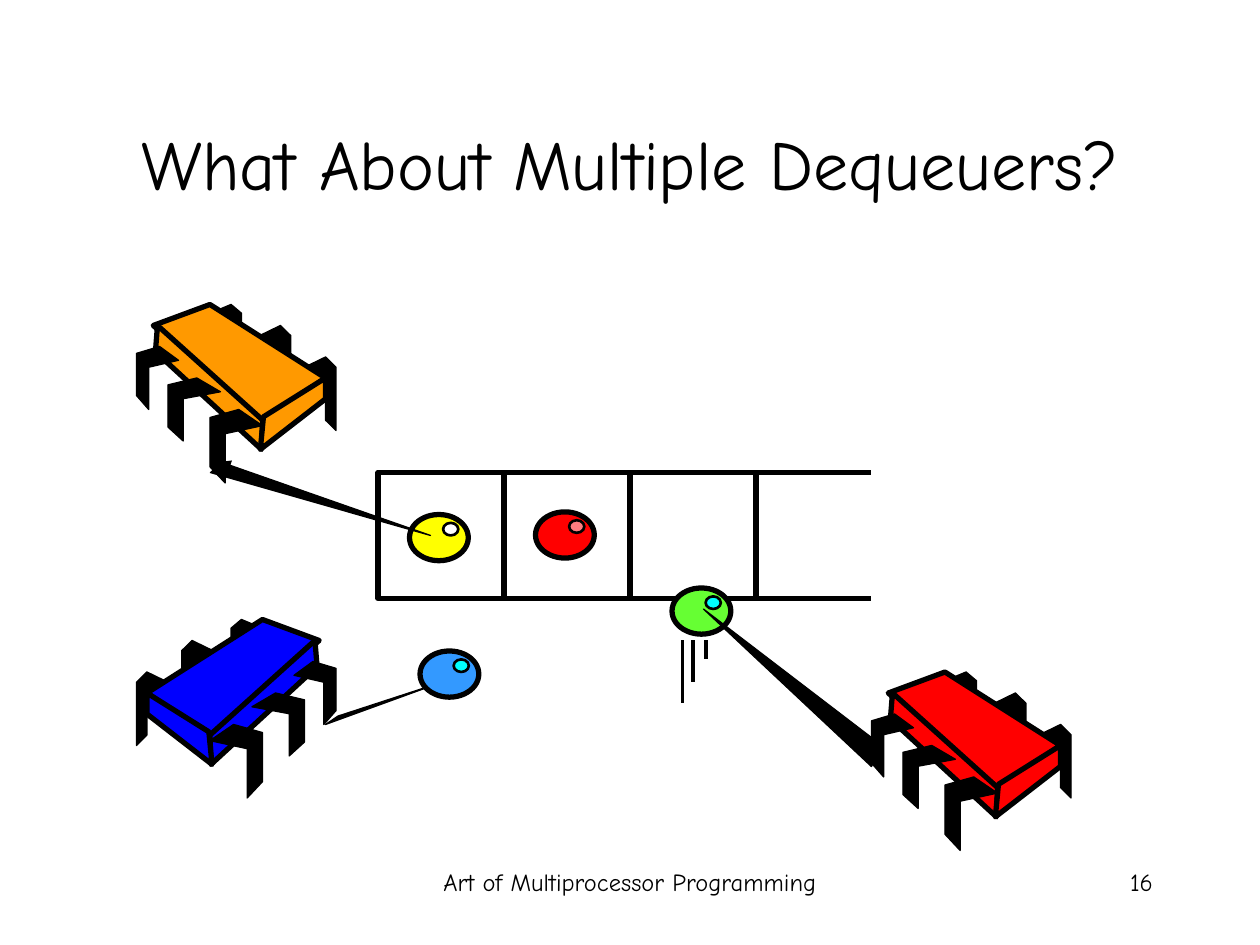
from typing import NamedTuple

from lxml.etree import SubElement
from pptx import Presentation
from pptx.dml.color import RGBColor
from pptx.enum.shapes import MSO_CONNECTOR, MSO_SHAPE
from pptx.enum.text import MSO_ANCHOR, PP_ALIGN
from pptx.oxml.ns import qn
from pptx.util import Inches, Length, Pt

BLACK = RGBColor(0x00, 0x00, 0x00)
WHITE = RGBColor(0xFF, 0xFF, 0xFF)
ORANGE = RGBColor(0xFF, 0x99, 0x00)
BLUE = RGBColor(0x00, 0x00, 0xFF)
RED = RGBColor(0xFF, 0x00, 0x00)
PINK = RGBColor(0xFF, 0x7C, 0x80)
YELLOW = RGBColor(0xFF, 0xFF, 0x00)
GREEN = RGBColor(0x66, 0xFF, 0x33)
SKY = RGBColor(0x33, 0x99, 0xFF)
CYAN = RGBColor(0x00, 0xFF, 0xFF)

FONT = "Comic Neue"
UNITS_PER_INCH = 12
CHIP_COLS = 19
SLOT = 12

Points = list[tuple[float, float]]


class Box(NamedTuple):
    col: float
    row: float
    cols: float
    rows: float


class Item(NamedTuple):
    col: float
    row: float
    fill: RGBColor
    shine: RGBColor


class Chip(NamedTuple):
    col: float
    row: float
    fill: RGBColor
    mirrored: bool = False


BACK_LEG = [(0, .14), (.67, 0), (1, .14), (1, 1), (.67, .86), (.67, .28), (0, .43)]
FRONT_LEG = [(.55, 0), (1, .22), (.29, .33), (.29, 1), (0, .78), (0, .11)]
BACK_LEGS = [Box(16, 5, 3, 7), Box(11.7, 2, 3, 7), Box(7, 0, 3, 6)]
FRONT_LEGS = [Box(7, 10, 5, 7), Box(3, 7, 5, 6), Box(0, 4, 4, 6)]
BODY_FACES = [
    [(7, 0), (18, 7), (11.9, 11.2), (1.6, 2)],
    [(2, 2), (12, 11), (11.9, 13.8), (1.8, 4.5)],
    [(18, 7), (18, 9), (11.8, 13.8), (12.1, 10.7)],
]


def grid(units: float) -> Length:
    return Inches(units / UNITS_PER_INCH)


def place(box: Box) -> list[Length]:
    return [grid(value) for value in box]


def style(shape, fill: RGBColor | None, width: float) -> None:
    shape.shadow.inherit = False
    if fill is None:
        shape.fill.background()
    else:
        shape.fill.solid()
        shape.fill.fore_color.rgb = fill
    shape.line.color.rgb = BLACK
    shape.line.width = Pt(width)


def draw_preset(shapes, kind: MSO_SHAPE, box: Box, fill: RGBColor | None, width: float) -> None:
    style(shapes.add_shape(kind, *place(box)), fill, width)


def draw_outline(shapes, points: Points, fill: RGBColor, width: float, close: bool = True):
    start, *rest = [(grid(x), grid(y)) for x, y in points]
    builder = shapes.build_freeform(*start, scale=1.0)
    builder.add_line_segments(rest, close=close)
    outline = builder.convert_to_shape()
    style(outline, fill, width)
    return outline


def draw_line(shapes, start: tuple[float, float], end: tuple[float, float], width: float) -> None:
    line = shapes.add_connector(
        MSO_CONNECTOR.STRAIGHT, *(grid(value) for value in (*start, *end)))
    line.line.color.rgb = BLACK
    line.line.width = Pt(width)
    SubElement(line._element.spPr, qn("a:effectLst"))


def draw_item(shapes, item: Item) -> None:
    group = shapes.add_group_shape().shapes
    draw_preset(group, MSO_SHAPE.OVAL, Box(item.col, item.row, 5.6, 4.4), item.fill, 3)
    draw_preset(group, MSO_SHAPE.OVAL,
                Box(item.col + 3.2, item.row + .8, 1.45, 1.2), item.shine, 1.5)


def fit(unit_points: Points, box: Box) -> Points:
    return [(box.col + x * box.cols, box.row + y * box.rows) for x, y in unit_points]


def draw_chip(shapes, chip: Chip) -> None:
    group = shapes.add_group_shape().shapes

    def draw_part(points: Points, fill: RGBColor, width: float) -> None:
        placed = [(chip.col + (CHIP_COLS - x if chip.mirrored else x), chip.row + y)
                  for x, y in points]
        draw_outline(group, placed, fill, width)

    for leg in BACK_LEGS:
        draw_part(fit(BACK_LEG, leg), BLACK, .75)
    for face in BODY_FACES:
        draw_part(face, chip.fill, 3)
    for leg in FRONT_LEGS:
        draw_part(fit(FRONT_LEG, leg), BLACK, .75)


def write(shape, words: str, size: float, align: PP_ALIGN, anchor: MSO_ANCHOR) -> None:
    frame = shape.text_frame
    frame.word_wrap = True
    frame.vertical_anchor = anchor
    paragraph = frame.paragraphs[0]
    paragraph.text = words
    paragraph.alignment = align
    paragraph.font.name = FONT
    paragraph.font.size = Pt(size)
    paragraph.font.color.rgb = BLACK


def draw_queue(shapes) -> None:
    for slot in range(3):
        draw_preset(shapes, MSO_SHAPE.RECTANGLE,
                    Box(36 + slot * SLOT, 45, SLOT, SLOT), None, 3)
    for row in (45, 45 + SLOT):
        draw_line(shapes, (71, row), (71 + SLOT, row), 3)


def main() -> None:
    deck = Presentation()
    deck.slide_width, deck.slide_height = Inches(10), Inches(7.5)
    slide = deck.slides.add_slide(deck.slide_layouts[5])
    shapes = slide.shapes

    title = shapes.title
    title.left, title.top, title.width, title.height = place(Box(9, 8, 102, 15))
    write(title, "What About Multiple Dequeuers?", 40, PP_ALIGN.CENTER, MSO_ANCHOR.MIDDLE)

    draw_queue(shapes)
    draw_item(shapes, Item(64, 56, GREEN, CYAN))
    draw_item(shapes, Item(51, 48.75, RED, PINK))

    draw_chip(shapes, Chip(83, 64, RED))
    draw_outline(shapes, [(83, 73), (84, 71), (67, 58)], BLACK, .75)
    for col, end_row in ((65, 67), (66, 65), (67.2, 62.75)):
        draw_line(shapes, (col, 61), (col, end_row), 2.25)

    draw_chip(shapes, Chip(13, 59, BLUE, mirrored=True))
    draw_outline(shapes, [(31, 69), (32.2, 68.2), (42, 65)], BLACK, .75)
    draw_item(shapes, Item(40, 62, SKY, CYAN))

    draw_item(shapes, Item(39, 49, YELLOW, WHITE))
    draw_chip(shapes, Chip(13, 29, ORANGE))
    arm = draw_outline(shapes, [(20, 45), (41, 51), (21, 44)], BLACK, .75, close=False)
    SubElement(arm.line._get_or_add_ln(), qn("a:tailEnd"), type="triangle")

    for words, box, align in (
        ("Art of Multiprocessor Programming", Box(41, 82, 38, 6), PP_ALIGN.CENTER),
        ("16", Box(86, 82, 25, 6), PP_ALIGN.RIGHT),
    ):
        write(shapes.add_textbox(*place(box)), words, 14, align, MSO_ANCHOR.TOP)

    deck.save("out.pptx")


if __name__ == "__main__":
    main()
